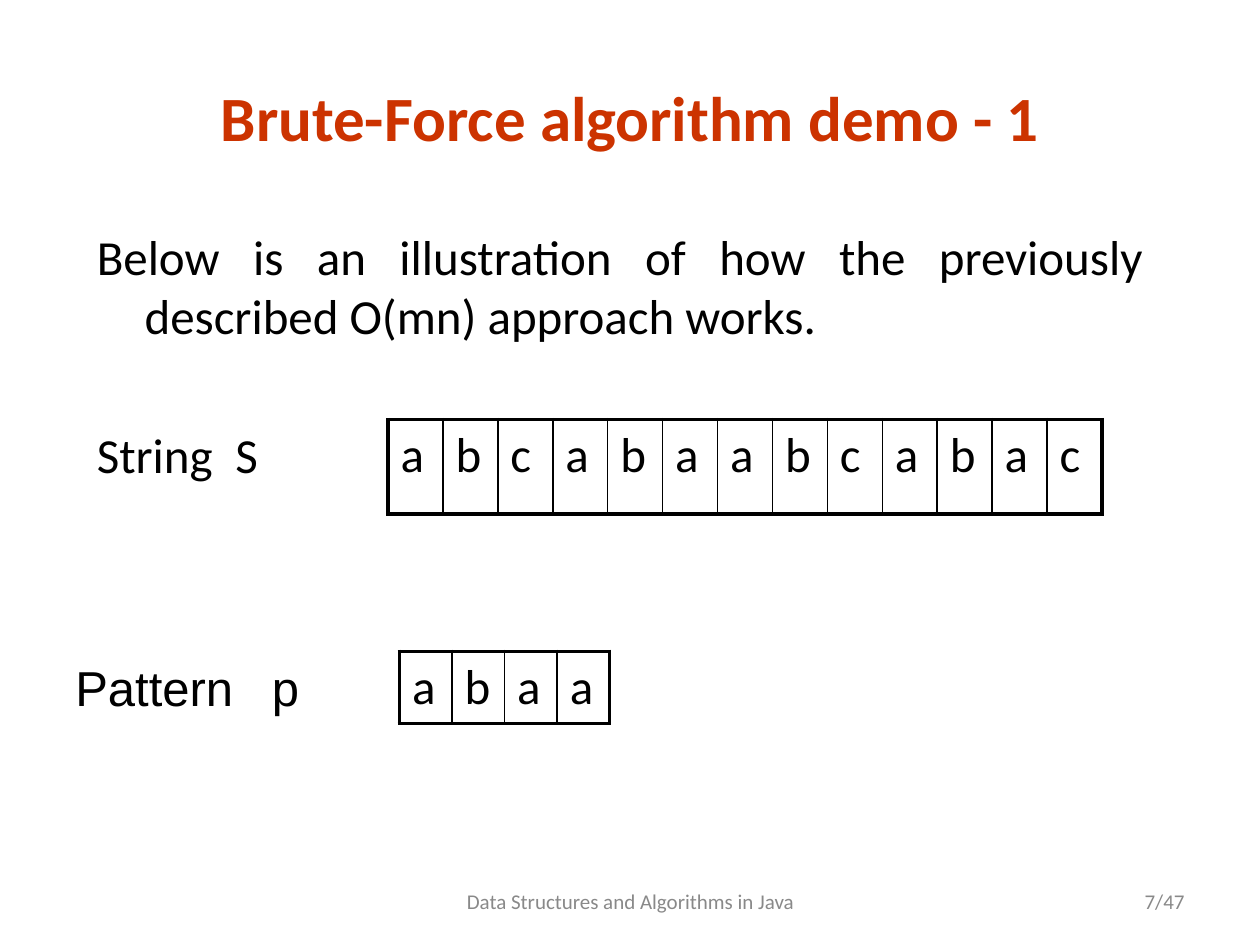
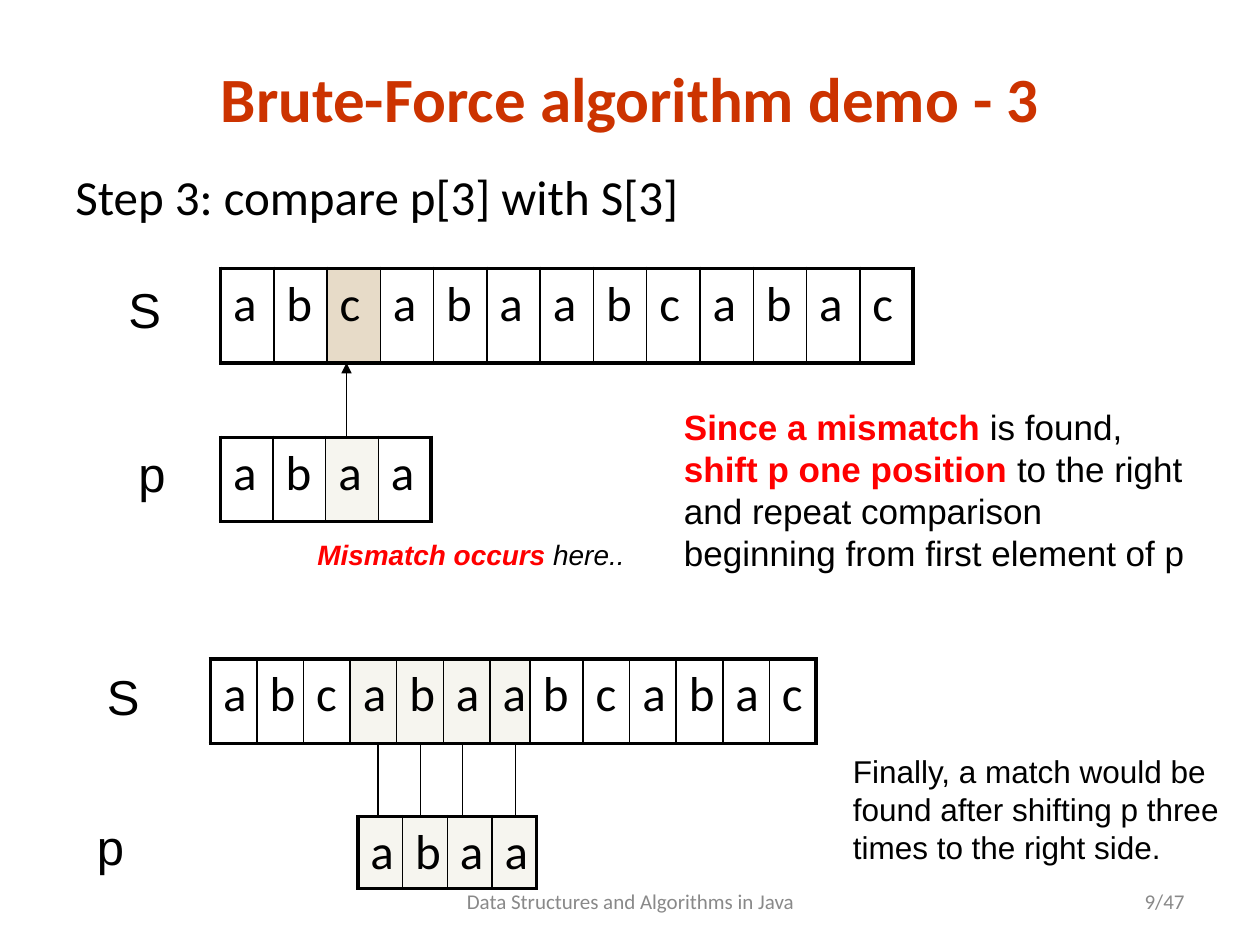
"""Build two slides that demonstrate brute-force pattern matching."""
from lxml import etree
from pptx import Presentation
from pptx.dml.color import RGBColor
from pptx.enum.shapes import MSO_CONNECTOR
from pptx.enum.text import MSO_ANCHOR, PP_ALIGN
from pptx.oxml.ns import qn
from pptx.util import Inches, Pt

LEFT, CENTER = PP_ALIGN.LEFT, PP_ALIGN.CENTER
RIGHT, JUSTIFY = PP_ALIGN.RIGHT, PP_ALIGN.JUSTIFY
TOP, MIDDLE = MSO_ANCHOR.TOP, MSO_ANCHOR.MIDDLE
STRAIGHT = MSO_CONNECTOR.STRAIGHT
COLORS = {
    "title": "CC3300",
    "text": "000000",
    "footer": "898989",
    "emphasis": "FF0000",
    "compared": "EEECE1",
    "mismatch": "D1B893",
}
HEADING, BODY = "Calibri", "Arial"
STRING, PATTERN = "abcabaabcabac", "abaa"
PAGE_COUNT = 47


def rgb(name):
    return RGBColor.from_string(COLORS[name])


class Deck:
    def __init__(self):
        self.presentation = Presentation()
        self.presentation.slide_width = Inches(10)
        self.presentation.slide_height = Inches(7.5)
        self.slide = None

    def add_slide(self, title, title_top, number):
        layout = self.presentation.slide_layouts[6]
        self.slide = self.presentation.slides.add_slide(layout)
        self.text((0.5, title_top, 9, 0.7), title, 36, HEADING, "title", CENTER, MIDDLE, bold=True)
        self.text((3.42, 6.95, 3.17, 0.4), "Data Structures and Algorithms in Java",
                  12, HEADING, "footer", CENTER, MIDDLE)
        self.text((7.17, 6.95, 2.33, 0.4), f"{number}/{PAGE_COUNT}",
                  12, HEADING, "footer", RIGHT, MIDDLE)

    def text(self, box, *paragraphs, **style):
        raise NotImplementedError

    def style(self, paragraph, size, font, color="text", bold=False, italic=False):
        paragraph.font.size = Pt(size)
        paragraph.font.name = font
        paragraph.font.color.rgb = rgb(color)
        paragraph.font.bold = bold
        paragraph.font.italic = italic

    def text(self, box, content, size=28, font=BODY, color="text", align=LEFT,
             anchor=TOP, bold=False, italic=False, hanging=0, tab=0):
        """Add a text box; content is a string or paragraphs of (text, emphasized) runs."""
        shape = self.slide.shapes.add_textbox(*map(Inches, box))
        frame = shape.text_frame
        frame.word_wrap = True
        frame.vertical_anchor = anchor
        paragraphs = [[(content, False)]] if isinstance(content, str) else content
        for index, runs in enumerate(paragraphs):
            paragraph = frame.add_paragraph() if index else frame.paragraphs[0]
            paragraph.alignment = align
            self.style(paragraph, size, font, color, bold, italic)
            properties = paragraph._p.get_or_add_pPr()
            if hanging:
                properties.set("marL", str(Inches(hanging)))
                properties.set("indent", str(-Inches(hanging)))
            if tab:
                tabs = etree.Element(qn("a:tabLst"))
                etree.SubElement(tabs, qn("a:tab"), pos=str(Inches(tab)), algn="l")
                properties.insert(0, tabs)
            for words, emphasized in runs:
                run = paragraph.add_run()
                run.text = words
                if emphasized:
                    run.font.bold = True
                    run.font.color.rgb = rgb("emphasis")

    def border(self, cell, side, points):
        line = etree.SubElement(cell._tc.get_or_add_tcPr(), qn(f"a:ln{side}"), w=str(Pt(points)))
        fill = etree.SubElement(line, qn("a:solidFill"))
        etree.SubElement(fill, qn("a:srgbClr"), val=COLORS["text"])

    def array(self, letters, left, top, width, height, shaded=(), shade="compared", widths=None):
        """Draw letters as a one-row table with a heavy frame and half-clear shaded cells."""
        count = len(letters)
        widths = widths or [width / count] * count
        frame = self.slide.shapes.add_table(1, count, *map(Inches, (left, top, width, height)))
        table = frame.table
        table.first_row = table.horz_banding = False
        for index, letter in enumerate(letters):
            table.columns[index].width = Inches(widths[index])
            cell = table.cell(0, index)
            cell.text = letter
            self.style(cell.text_frame.paragraphs[0], 28, HEADING)
            self.border(cell, "L", 1 if index else 2.25)
            self.border(cell, "R", 1 if index < count - 1 else 2.25)
            self.border(cell, "T", 2.25)
            self.border(cell, "B", 2.25)
            if index in shaded:
                cell.fill.solid()
                cell.fill.fore_color.rgb = rgb(shade)
                color = cell._tc.tcPr.find(qn("a:solidFill")).find(qn("a:srgbClr"))
                etree.SubElement(color, qn("a:alpha"), val="50000")
            else:
                cell.fill.background()

    def line(self, x, start, end, arrow=False):
        connector = self.slide.shapes.add_connector(
            STRAIGHT, Inches(x), Inches(start), Inches(x), Inches(end))
        connector.line.color.rgb = rgb("text")
        connector.line.width = Pt(0.75)
        if arrow:
            etree.SubElement(connector.line._get_or_add_ln(), qn("a:tailEnd"), type="triangle")
        etree.SubElement(connector._element.spPr, qn("a:effectLst"))


def add_introduction(deck):
    deck.add_slide("Brute-Force algorithm demo - 1", 0.57, 7)
    deck.text((0.67, 1.75, 8.5, 1.1),
              "Below is an illustration of how the previously described O(mn) approach works.",
              font=HEADING, align=JUSTIFY, hanging=0.38)
    deck.text((0.67, 3.32, 2, 0.57), "String\tS", font=HEADING, tab=1.1)
    deck.array(STRING, 3.08, 3.33, 5.67, 0.75)
    deck.text((0.5, 5.17, 2.05, 0.57), "Pattern\tp", tab=1.56)
    deck.array(PATTERN, 3.17, 5.17, 1.67, 0.57)


def add_comparison(deck):
    deck.add_slide("Brute-Force algorithm demo - 3", 0.42, 9)
    deck.text((0.5, 1.27, 9, 0.57), "Step 3: compare p[3] with S[3]", font=HEADING)

    deck.text((0.92, 2.17, 0.46, 0.57), "S")
    deck.array(STRING, 1.75, 2.13, 5.5, 0.75, shaded=[2], shade="mismatch")
    deck.text((1, 3.47, 0.42, 0.57), "p")
    deck.array(PATTERN, 1.75, 3.47, 1.67, 0.67, shaded=[2])
    deck.line(2.75, 3.47, 2.88, arrow=True)
    deck.text((2.42, 4.22, 2.7, 0.37), [[("Mismatch occurs", True), (" here..", False)]],
              16, italic=True)
    deck.text((5.33, 3.17, 4.26, 1.45), [
        [("Since a mismatch", True), (" is found, ", False),
         ("shift p one position", True), (" to the right", False)],
        [("and repeat comparison beginning from first element of p", False)],
    ], 20)

    deck.text((0.75, 5.24, 0.46, 0.57), "S")
    deck.array(STRING, 1.67, 5.23, 4.83, 0.67, shaded=range(3, 7),
               widths=[0.37] * 6 + [0.32, 0.42] + [0.37] * 5)
    deck.text((0.67, 6.43, 0.42, 0.57), "p")
    deck.array(PATTERN, 2.84, 6.48, 1.42, 0.57, shaded=range(4))
    for x in (3, 3.34, 3.67, 4.09):
        deck.line(x, 6.48, 5.9)
    deck.text((6.67, 5.92, 3.22, 1.01),
              "Finally, a match would be found after shifting p three times to the right side.", 18)


def main():
    deck = Deck()
    add_introduction(deck)
    add_comparison(deck)
    deck.presentation.save("out.pptx")


if __name__ == "__main__":
    main()
